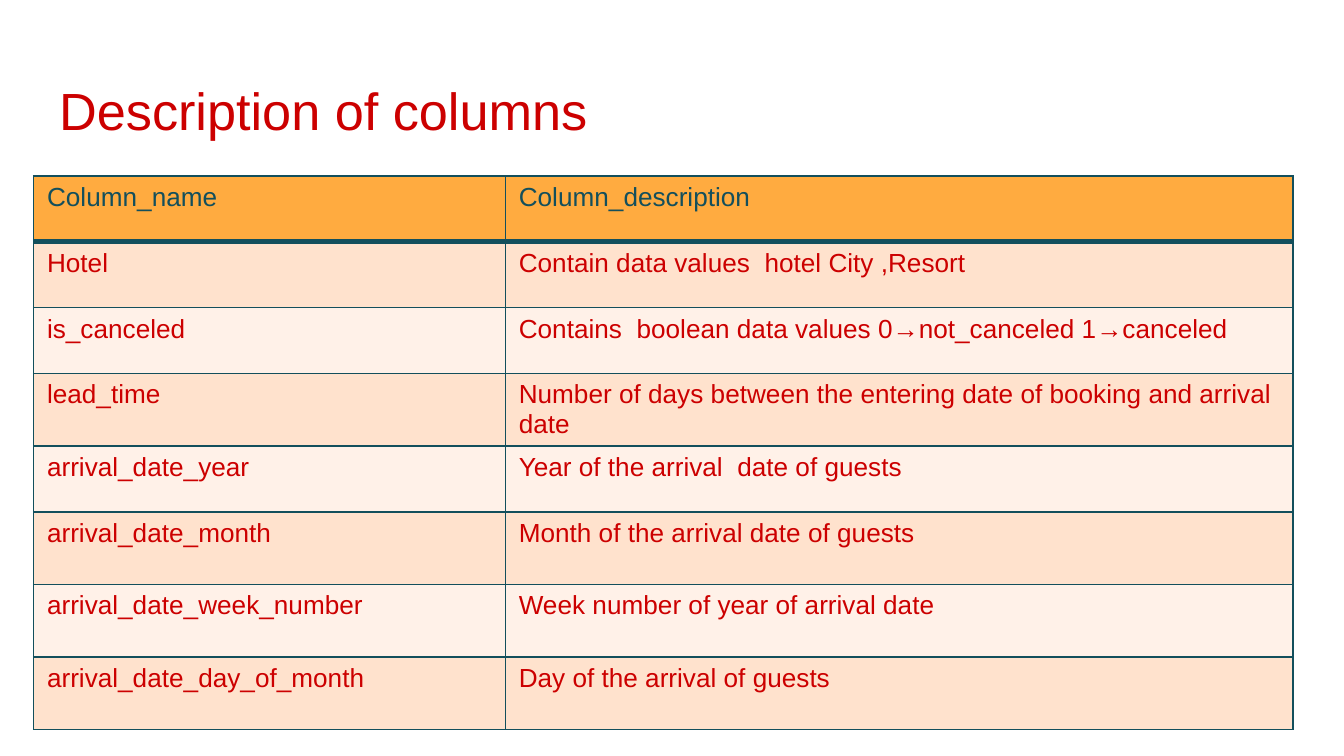
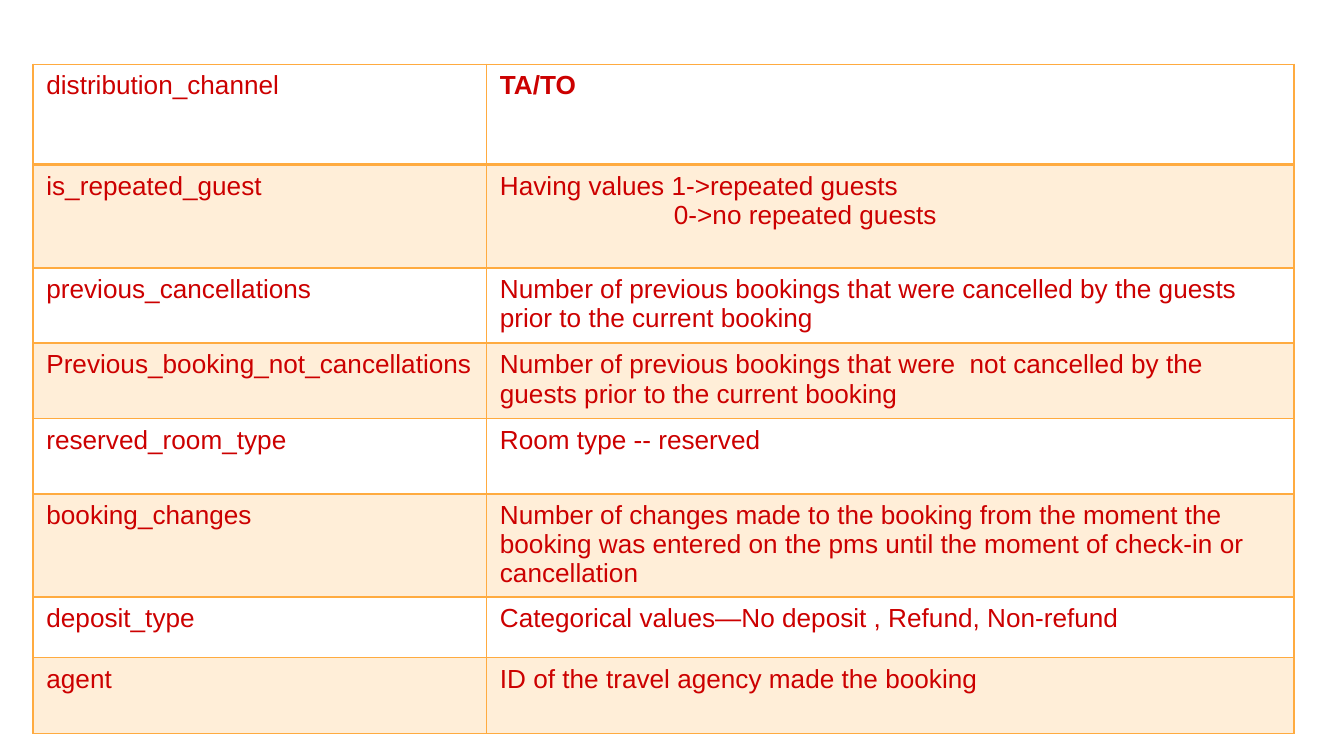
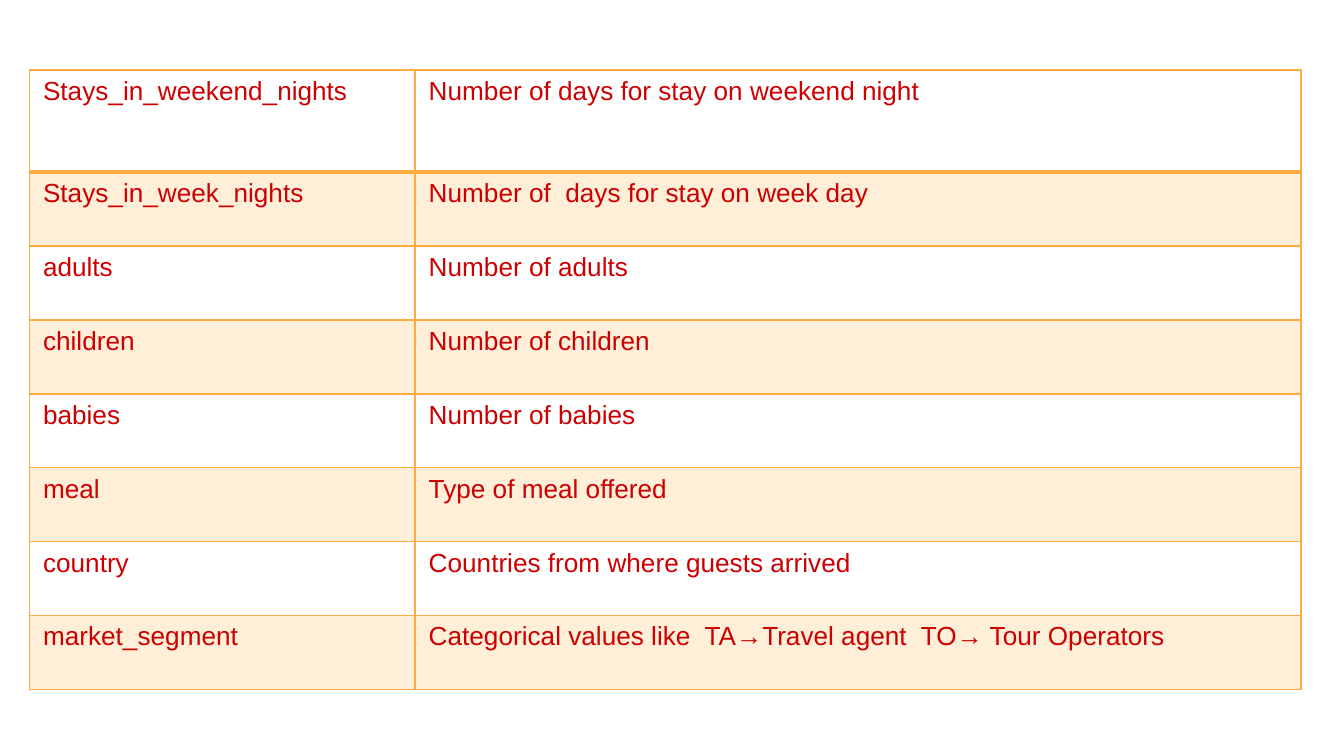
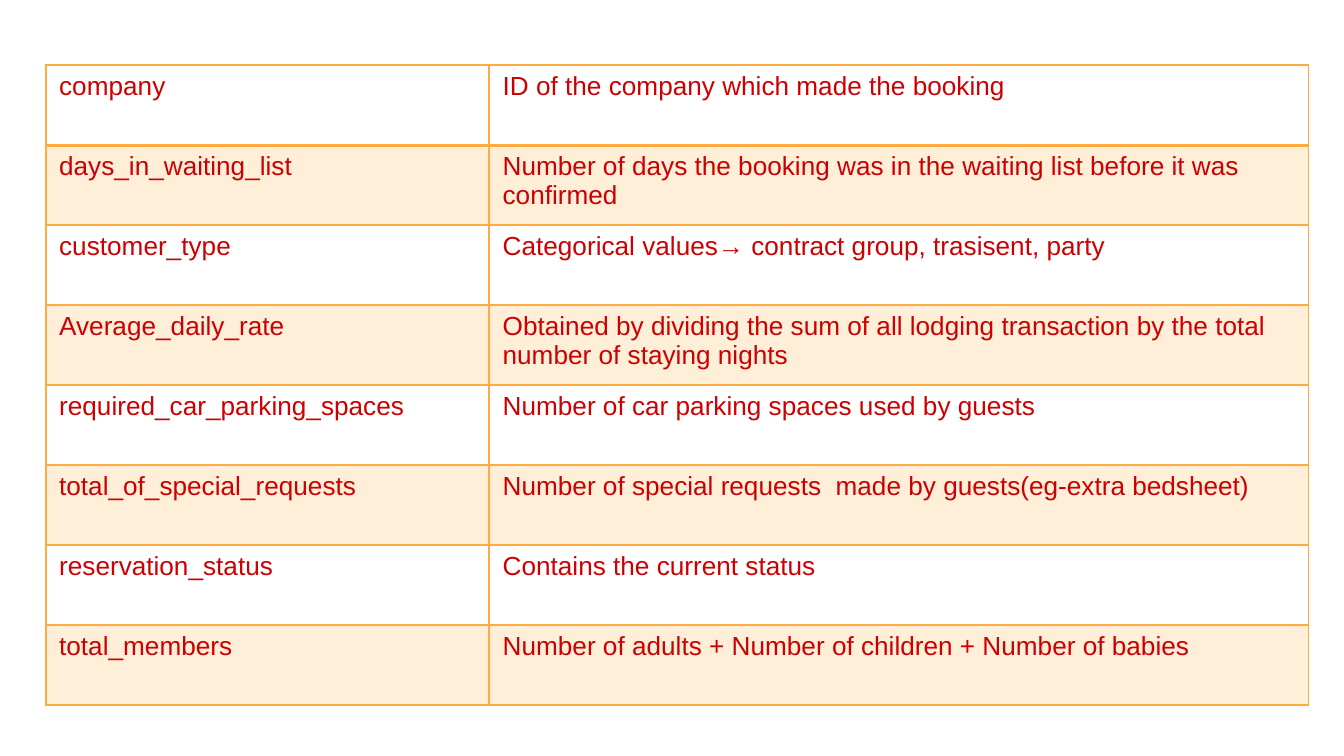
from pptx import Presentation as Deck
from pptx.dml.color import RGBColor as Rgb
from pptx.enum.text import MSO_ANCHOR as Anchor, MSO_AUTO_SIZE as Fit, PP_ALIGN as Align
from pptx.oxml.ns import qn
from pptx.util import Emu, Pt
from lxml.etree import SubElement as Sub, Element as Elem

SCALE = 4572
RED, TEAL, AMBER = "CC0000", "134F5C", "FFAB40"
PEACH, CREAM = "FFE2CD", "FFF1E8"
TITLE, BLANK = 5, 6


def px(num):
    return Emu(num * SCALE)


def color(code):
    return Rgb.from_string(code)


class Page:
    face = "Arial"

    def __init__(self):
        self.deck = Deck()
        self.deck.slide_width = px(2000)
        self.deck.slide_height = px(1125)

    def start(self, kind):
        self.slide = self.deck.slides.add_slide(self.deck.slide_layouts[kind])

    def run(self, para, text, size, ink, bold=False):
        run = para.add_run()
        run.text = text
        font = run.font
        font.name, font.size, font.bold = self.face, Pt(size), bold
        font.color.rgb = color(ink)

    def title(self, text):
        box = self.slide.shapes.title
        box.left, box.top, box.width, box.height = map(px, (68, 97, 1864, 126))
        frame = box.text_frame
        frame.auto_size = Fit.NONE
        frame.vertical_anchor = Anchor.TOP
        frame.margin_left = frame.margin_right = px(20)
        frame.margin_top = frame.margin_bottom = px(20)
        para = frame.paragraphs[0]
        para.alignment = Align.LEFT
        self.run(para, text, 28, RED)

    def fill(self, cell, tint):
        if tint is None:
            cell.fill.background()
            return
        code, alpha = tint
        cell.fill.solid()
        cell.fill.fore_color.rgb = color(code)
        if alpha < 100:
            node = cell.fill._xPr.find(qn("a:solidFill"))[0]
            Sub(node, qn("a:alpha"), val=str(alpha * 1000))

    def border(self, cell, ink, top, base):
        props = cell._tc.get_or_add_tcPr()
        sides = (("L", 1), ("R", 1), ("T", top), ("B", base))
        for spot, (side, wide) in enumerate(sides):
            line = Elem(qn("a:ln" + side), w=str(Pt(wide)))
            Sub(Sub(line, qn("a:solidFill")), qn("a:srgbClr"), val=ink)
            props.insert(spot, line)

    def words(self, cell, text, ink, bold, indent):
        frame = cell.text_frame
        for num, part in enumerate(text.split("\n")):
            para = frame.add_paragraph() if num else frame.paragraphs[0]
            if num:
                para._p.get_or_add_pPr().set("marL", str(px(indent)))
            self.run(para, part, 14, ink, bold)

    def table(self, spot, cols, highs, rows, line=AMBER, rule=2, head=(None, RED),
              tints=((AMBER, 20), None), strong=(), indent=0):
        left, top = spot
        frame = self.slide.shapes.add_table(
            len(rows), len(cols), px(left), px(top), px(sum(cols)), px(sum(highs)))
        grid = frame.table
        grid.first_row = grid.horz_banding = False
        for col, wide in zip(grid.columns, cols):
            col.width = px(wide)
        for num, (row, high, texts) in enumerate(zip(grid.rows, highs, rows)):
            row.height = px(high)
            tint, ink = (tints[(num - 1) % 2], RED) if num else head
            for cell, text in zip(row.cells, texts):
                self.words(cell, text, ink, text in strong, indent)
                self.fill(cell, tint)
                self.border(cell, line, rule if num == 1 else 1, 1 if num else rule)


DATES = (
    ("Column_name", "Column_description"),
    ("Hotel", "Contain data values  hotel City ,Resort"),
    ("is_canceled", "Contains  boolean data values 0→not_canceled 1→canceled"),
    ("lead_time", "Number of days between the entering date of booking and arrival date"),
    ("arrival_date_year", "Year of the arrival  date of guests"),
    ("arrival_date_month", "Month of the arrival date of guests"),
    ("arrival_date_week_number", "Week number of year of arrival date"),
    ("arrival_date_day_of_month", "Day of the arrival of guests"),
)
BOOKS = (
    ("distribution_channel", "TA/TO"),
    ("is_repeated_guest", "Having values 1->repeated guests\n0->no repeated guests"),
    ("previous_cancellations",
     "Number of previous bookings that were cancelled by the guests prior to the current booking"),
    ("Previous_booking_not_cancellations",
     "Number of previous bookings that were  not cancelled by the guests prior to the current booking"),
    ("reserved_room_type", "Room type -- reserved"),
    ("booking_changes",
     "Number of changes made to the booking from the moment the booking was entered "
     "on the pms until the moment of check-in or cancellation"),
    ("deposit_type", "Categorical values—No deposit , Refund, Non-refund"),
    ("agent", "ID of the travel agency made the booking"),
)
GUESTS = (
    ("Stays_in_weekend_nights", "Number of days for stay on weekend night"),
    ("Stays_in_week_nights", "Number of  days for stay on week day"),
    ("adults", "Number of adults"),
    ("children", "Number of children"),
    ("babies", "Number of babies"),
    ("meal", "Type of meal offered"),
    ("country", "Countries from where guests arrived"),
    ("market_segment", "Categorical values like  TA→Travel agent  TO→ Tour Operators"),
)
STATUS = (
    ("company", "ID of the company which made the booking"),
    ("days_in_waiting_list",
     "Number of days the booking was in the waiting list before it was confirmed"),
    ("customer_type", "Categorical values→ contract group, trasisent, party"),
    ("Average_daily_rate",
     "Obtained by dividing the sum of all lodging transaction by the total number of staying nights"),
    ("required_car_parking_spaces", "Number of car parking spaces used by guests"),
    ("total_of_special_requests", "Number of special requests  made by guests(eg-extra bedsheet)"),
    ("reservation_status", "Contains the current status"),
    ("total_members", "Number of adults + Number of children + Number of babies"),
)


def main():
    page = Page()
    page.start(TITLE)
    page.title("Description of columns")
    page.table((50, 262), (702, 1172), (98, 98, 98, 108, 98, 108, 108, 108), DATES,
               line=TEAL, rule=3, head=((AMBER, 100), TEAL),
               tints=((PEACH, 100), (CREAM, 100)))

    page.start(BLANK)
    page.table((49, 96), (675, 1202), (149, 154, 112, 112, 112, 154, 90, 113), BOOKS,
               strong=("TA/TO",), indent=259)

    page.start(BLANK)
    page.table((44, 104), (574, 1318), [152] + [110] * 7, GUESTS)

    page.start(BLANK)
    page.table((68, 97), (660, 1219), [119] * 8, STATUS)
    page.deck.save("out.pptx")


if __name__ == "__main__":
    main()
